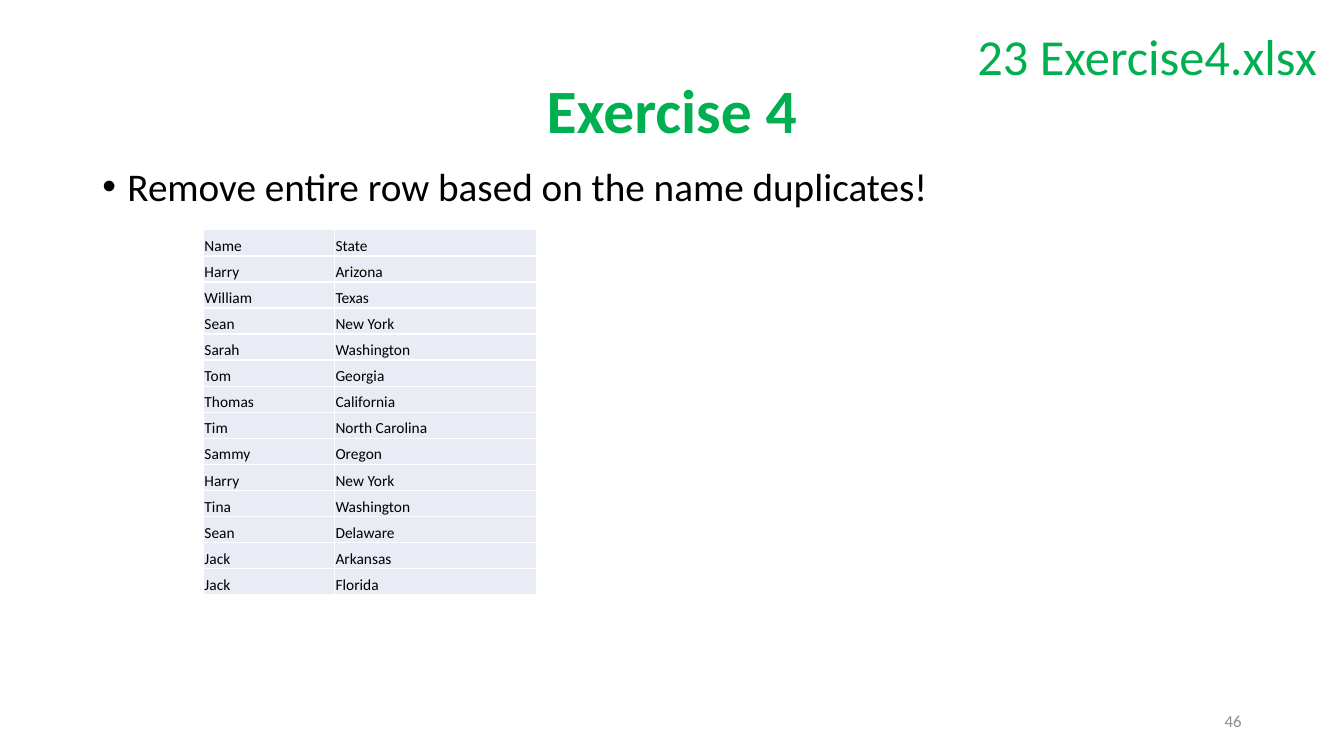
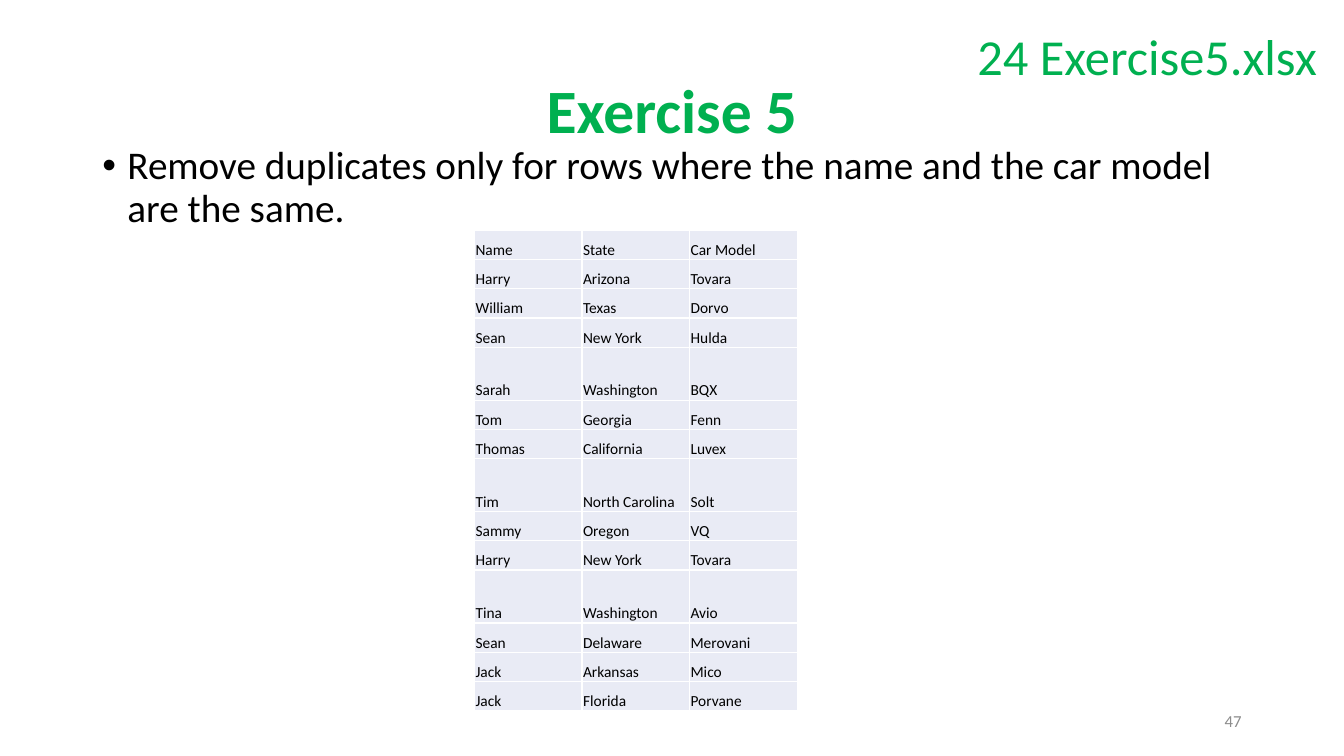
from lxml import etree
from pptx import Presentation
from pptx.dml.color import RGBColor
from pptx.enum.text import MSO_ANCHOR, PP_ALIGN
from pptx.oxml.ns import qn
from pptx.util import Pt

LEFT, MID, RIGHT = PP_ALIGN.LEFT, PP_ALIGN.CENTER, PP_ALIGN.RIGHT
TOP, CENTER, BASE = MSO_ANCHOR.TOP, MSO_ANCHOR.MIDDLE, MSO_ANCHOR.BOTTOM

FONT = "Calibri"
GREEN, BLACK, GRAY = "00B050", "000000", "8C8C8C"
WHITE, PALE = "FFFFFF", "E9EBF5"
EDGE, WIDE = 66, 828  # shared text column

NAMES = ["Name", "Harry", "William", "Sean", "Sarah", "Tom", "Thomas",
         "Tim", "Sammy", "Harry", "Tina", "Sean", "Jack", "Jack"]
STATES = ["State", "Arizona", "Texas", "New York", "Washington", "Georgia",
          "California", "North Carolina", "Oregon", "New York",
          "Washington", "Delaware", "Arkansas", "Florida"]
CARS = ["Car Model", "Tovara", "Dorvo", "Hulda", "BQX", "Fenn", "Luvex",
        "Solt", "VQ", "Tovara", "Avio", "Merovani", "Mico", "Porvane"]
TALL = {"Sarah", "Tim", "Tina"}  # rows with extra height


def color(code):
    return RGBColor.from_string(code)


def write(frame, words, size=11, tint=BLACK, bold=False, align=LEFT,
          line=None, bullet=False):
    """Set the text of a frame and its format."""
    para = frame.paragraphs[0]
    para.alignment = align
    if line:
        para.line_spacing = line
    if bullet:
        para.space_before = Pt(10)
        props = para._p.get_or_add_pPr()
        props.set("marL", str(Pt(18)))
        props.set("indent", str(-Pt(18)))
        etree.SubElement(props, qn("a:buFont"), typeface="Arial")
        etree.SubElement(props, qn("a:buChar"), char="•")
    run = para.add_run()
    run.text = words
    font = run.font
    font.name, font.size, font.bold = FONT, Pt(size), bold
    font.color.rgb = color(tint)


def box(slide, words, x, y, w, h, anchor=TOP, **form):
    """Add a wrapped text box."""
    shape = slide.shapes.add_textbox(Pt(x), Pt(y), Pt(w), Pt(h))
    frame = shape.text_frame
    frame.word_wrap = True
    frame.vertical_anchor = anchor
    write(frame, words, **form)


def border(cell):
    """Draw a thin white line on each side of a cell."""
    props = cell._tc.get_or_add_tcPr()
    for spot, side in enumerate("LRTB"):
        line = etree.Element(qn("a:ln" + side), w=str(Pt(1)))
        fill = etree.SubElement(line, qn("a:solidFill"))
        etree.SubElement(fill, qn("a:srgbClr"), val=WHITE)
        props.insert(spot, line)


def grid(slide, x, y, cols, rows, data):
    """Add a plain table with the given column widths and row heights."""
    frame = slide.shapes.add_table(len(rows), len(cols), Pt(x), Pt(y),
                                   Pt(sum(cols)), Pt(sum(rows)))
    table = frame.table
    table.first_row = table.horz_banding = False
    for col, width in zip(table.columns, cols):
        col.width = Pt(width)
    for row, height, items in zip(table.rows, rows, data):
        row.height = Pt(height)
        for cell, words in zip(row.cells, items):
            cell.margin_left = cell.margin_right = cell.margin_top = Pt(0.7)
            cell.margin_bottom = Pt(0)
            cell.vertical_anchor = BASE
            cell.fill.solid()
            cell.fill.fore_color.rgb = color(PALE)
            border(cell)
            write(cell.text_frame, words)


def page(deck, title, task, top, file, number):
    """Add a slide with title, task, file name and page number."""
    slide = deck.slides.add_slide(deck.slide_layouts[6])
    box(slide, title, EDGE, 28.8, WIDE, 104.4, CENTER,
        size=44, tint=GREEN, bold=True, align=MID, line=0.9)
    box(slide, task, EDGE, top, WIDE, 342.7, size=28, line=0.9, bullet=True)
    box(slide, file, 468, 14.4, 480, 51, size=36, tint=GREEN, align=RIGHT)
    box(slide, number, 678, 500.5, 216, 28.8, CENTER,
        size=12, tint=GRAY, align=RIGHT)
    return slide


def main():
    deck = Presentation()
    deck.slide_width, deck.slide_height = Pt(960), Pt(540)

    # Duplicates by name
    slide = page(deck, "Exercise 4",
                 "Remove entire row based on the name duplicates!",
                 116, "23 Exercise4.xlsx", "46")
    grid(slide, 145.4, 164.2, [93.6, 144.6], [18.6] * len(NAMES),
         zip(NAMES, STATES))

    # Duplicates by name and car model
    slide = page(deck, "Exercise 5",
                 "Remove duplicates only for rows where the name and "
                 "the car model are the same.",
                 100.8, "24 Exercise5.xlsx", "47")
    rows = [37.8 if name in TALL else 20.9 for name in NAMES]
    grid(slide, 339, 164.5, [76.8] * 3, rows, zip(NAMES, STATES, CARS))

    deck.save("out.pptx")


if __name__ == "__main__":
    main()
